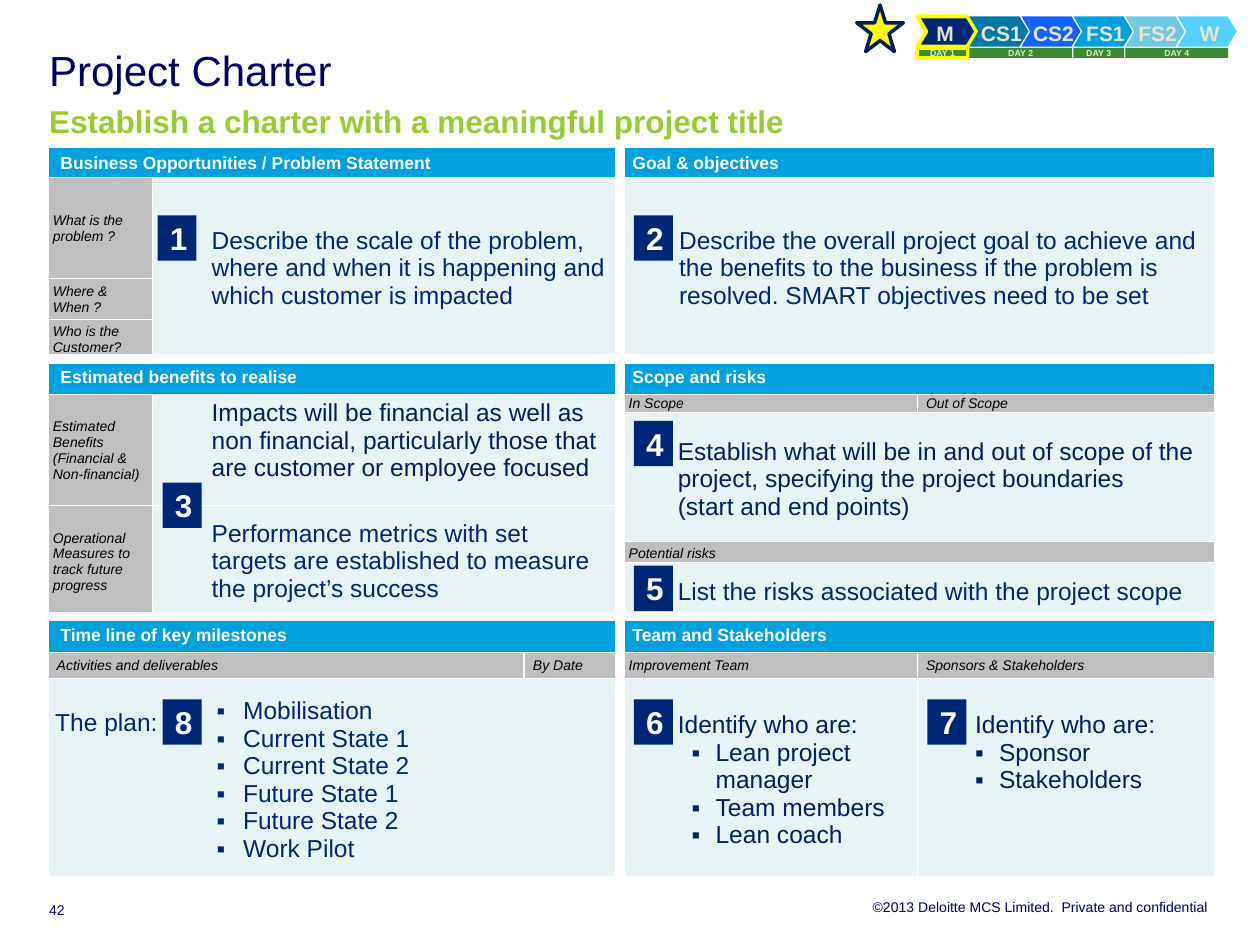
import lxml.etree
import pptx
import pptx.dml.color
import pptx.enum.shapes
import pptx.enum.text
import pptx.oxml.ns
import pptx.util

Inches = pptx.util.Inches
Pt = pptx.util.Pt
SHAPE = pptx.enum.shapes.MSO_SHAPE
ALIGN = pptx.enum.text.PP_ALIGN
MID = pptx.enum.text.MSO_ANCHOR.MIDDLE
TOP = pptx.enum.text.MSO_ANCHOR.TOP
LOW = pptx.enum.text.MSO_ANCHOR.BOTTOM
qn = pptx.oxml.ns.qn

NAVY, INK, TITLE, CREAM, YELLOW = "002776", "002060", "000066", "E5E5CC", "FFFF00"

STAGES = [("M", "002776"), ("CS1", "0079A6"), ("CS2", "1462FF"),
          ("FS1", "00A1DE"), ("FS2", "72C7E7"), ("W", "52D0FF")]
DAYS = [("DAY 1", 0, 1), ("DAY 2", 1, 2), ("DAY 3", 3, 1), ("DAY 4", 4, 2)]
BADGES = [("1", 1.25, 1.71), ("2", 5.03, 1.71), ("3", 1.29, 3.83), ("4", 5.03, 3.34),
          ("5", 5.03, 4.49), ("6", 5.03, 5.55), ("7", 7.36, 5.55), ("8", 1.29, 5.55)]

COLS = [0.83, 2.95, 0.76, 2.36, 2.36]
ROWS = [0.24, 0.8, 0.32, 0.32, 0.28, 0.14, 0.74, 0.28, 0.17, 0.43, 0.28, 0.21, 1.57]
WIDE_ROWS, WIDE_COLS = (4, 10), (3,)  # grid lines that form the white gutters

# fill, (size, colour, bold, italic), margins, indent
KINDS = {
    "head": ("00A1DE", (10, "FFFFFF", True, False), (0.01, 0.01, 0.01, 0), 0.09),
    "side": ("BFBFBF", (8, "000000", False, True), (0.04, 0.01, 0.01, 0), 0),
    "sub": ("BFBFBF", (8, "000000", False, True), (0.07, 0.01, 0.01, 0), 0),
    "risk": ("BFBFBF", (8, "000000", False, True), (0.07, 0.04, 0.01, 0), 0),
    "body": ("E7F3F4", (14, NAVY, False, False), (0.08, 0.04, 0.08, 0.04), 0.39),
    "dark": ("E7F3F4", (14, INK, False, False), (0.08, 0.04, 0.08, 0.04), 0.39),
    "slim": ("E7F3F4", (14, NAVY, False, False), (0.07, 0.04, 0.01, 0), 0.39),
    "scope": ("E7F3F4", (14, INK, False, False), (0.07, 0.04, 0.01, 0), 0.39),
    "team": ("E7F3F4", (14, INK, False, False), (0.07, 0.26, 0.01, 0), 0.39),
}


def items(left, hang, *names):
    """Bulleted paragraphs as (text, left, hang)."""
    return [(name, left, hang) for name in names]


# row, column, rows, columns, kind, anchor, paragraphs
CELLS = [
    (0, 0, 1, 3, "head", MID, ["Business Opportunities / Problem Statement"]),
    (0, 3, 1, 2, "head", MID, ["Goal & objectives"]),
    (1, 0, 1, 1, "side", MID, ["What is the problem ?"]),
    (1, 1, 3, 2, "body", MID, ["Describe the scale of the problem, where and when it is "
                               "happening and which customer is impacted"]),
    (1, 3, 3, 2, "body", MID, ["Describe the overall project goal to achieve and the benefits to the "
                               "business if the problem is resolved. SMART objectives need to be set"]),
    (2, 0, 1, 1, "side", MID, ["Where &", "When ?"]),
    (3, 0, 1, 1, "side", MID, ["Who is the Customer?"]),
    (4, 0, 1, 3, "head", MID, ["Estimated benefits to realise"]),
    (4, 3, 1, 2, "head", MID, ["Scope and risks"]),
    (5, 0, 2, 1, "side", MID, ["Estimated Benefits (Financial & Non-financial)"]),
    (5, 1, 2, 2, "dark", TOP, ["Impacts will be financial as well as non financial, "
                               "particularly those that are customer or employee focused"]),
    (5, 3, 1, 1, "sub", MID, ["In Scope"]),
    (5, 4, 1, 1, "sub", MID, ["Out of Scope"]),
    (6, 3, 2, 2, "scope", MID, ["Establish what will be in and out of scope of the project, "
                                "specifying the project boundaries", "(start and end points)"]),
    (7, 0, 3, 1, "side", MID, ["Operational Measures to track future progress"]),
    (7, 1, 3, 2, "body", MID, ["Performance metrics with set targets are established to "
                               "measure the project’s success"]),
    (8, 3, 1, 2, "risk", TOP, ["Potential risks"]),
    (9, 3, 1, 2, "slim", MID, ["List the risks associated with the project scope"]),
    (10, 0, 1, 3, "head", MID, ["Time line of key milestones"]),
    (10, 3, 1, 2, "head", MID, ["Team and Stakeholders"]),
    (11, 0, 1, 2, "sub", MID, ["Activities and deliverables"]),
    (11, 2, 1, 1, "sub", MID, ["By Date"]),
    (11, 3, 1, 1, "sub", MID, ["Improvement Team"]),
    (11, 4, 1, 1, "sub", MID, ["Sponsors & Stakeholders"]),
    (12, 0, 1, 3, "slim", MID, items(1.48, 0.21, "Mobilisation", "Current State 1", "Current State 2",
                                     "Future State 1", "Future State 2", "Work Pilot")),
    (12, 3, 1, 1, "team", TOP, ["Identify who are:"]
     + items(0.69, 0.19, "Lean project manager", "Team members", "Lean coach")),
    (12, 4, 1, 1, "team", TOP, ["Identify who are:"] + items(0.58, 0.19, "Sponsor", "Stakeholders")),
]


def rgb(code):
    return pptx.dml.color.RGBColor.from_string(code)


def add_run(para, text, size, color, bold=False, italic=False):
    run = para.add_run()
    run.text = text
    font = run.font
    font.name, font.size, font.bold, font.italic = "Arial", Pt(size), bold, italic
    font.color.rgb = rgb(color)


def pad(frame, sides):
    """Set left, top, right and bottom margins of a frame or cell."""
    (frame.margin_left, frame.margin_top,
     frame.margin_right, frame.margin_bottom) = [Inches(side) for side in sides]


def add_text(box, text, look, align=ALIGN.LEFT, sides=(0.1, 0.05, 0.1, 0.05), anchor=MID, wrap=True):
    frame = box.text_frame
    pad(frame, sides)
    frame.word_wrap, frame.vertical_anchor = wrap, anchor
    para = frame.paragraphs[0]
    para.alignment = align
    if text:
        add_run(para, text, *look)
    return para


def add_box(slide, kind, place, fill, line=None, width=0):
    box = slide.shapes.add_shape(kind, *[Inches(n) for n in place])
    box.shadow.inherit = False
    box.fill.solid()
    box.fill.fore_color.rgb = rgb(fill)
    if line:
        box.line.color.rgb, box.line.width = rgb(line), Pt(width)
    else:
        box.line.fill.background()
    return box


def add_label(slide, place, *args, **named):
    box = slide.shapes.add_textbox(*[Inches(n) for n in place])
    return add_text(box, *args, **named)


def add_edge(cell, side, width):
    edge = lxml.etree.SubElement(cell._tc.get_or_add_tcPr(), qn("a:ln" + side), w=str(Pt(width)))
    fill = lxml.etree.SubElement(edge, qn("a:solidFill"))
    lxml.etree.SubElement(fill, qn("a:srgbClr"), val="FFFFFF")


def add_edges(table, row, col, high, wide):
    for r in range(row, row + high):
        for c in range(col, col + wide):
            for side, here, line, broad in (
                    ("L", c == col, c, WIDE_COLS), ("R", c == col + wide - 1, c + 1, WIDE_COLS),
                    ("T", r == row, r, WIDE_ROWS), ("B", r == row + high - 1, r + 1, WIDE_ROWS)):
                if here:
                    add_edge(table.cell(r, c), side, 6 if line in broad else 0.25)


def fill_cell(table, row, col, high, wide, kind, anchor, paras):
    fill, look, sides, indent = KINDS[kind]
    cell = table.cell(row, col)
    if high * wide > 1:
        cell.merge(table.cell(row + high - 1, col + wide - 1))
    add_edges(table, row, col, high, wide)
    cell.fill.solid()
    cell.fill.fore_color.rgb = rgb(fill)
    cell.vertical_anchor = anchor
    pad(cell, sides)
    for i, item in enumerate(paras):
        text, left, hang = (item, indent, 0) if isinstance(item, str) else item
        para = cell.text_frame.add_paragraph() if i else cell.text_frame.paragraphs[0]
        props = para._p.get_or_add_pPr()
        props.set("marL", str(Inches(left)))
        props.set("indent", str(-Inches(hang)))
        if hang:
            lxml.etree.SubElement(props, qn("a:buFont"), typeface="Arial")
            lxml.etree.SubElement(props, qn("a:buChar"), char="▪")
        add_run(para, text, *look)


def add_charter(slide):
    table = slide.shapes.add_table(len(ROWS), len(COLS), Inches(0.38), Inches(1.17),
                                   Inches(sum(COLS)), Inches(sum(ROWS))).table
    table.first_row = table.horz_banding = False
    for col, width in zip(table.columns, COLS):
        col.width = Inches(width)
    for row, height in zip(table.rows, ROWS):
        row.height = Inches(height)
    for entry in CELLS:
        fill_cell(table, *entry)


def add_tracker(slide):
    left, step = 7.28, 0.413
    for i, (name, fill) in enumerate(STAGES):
        line = YELLOW if i == 0 else None
        box = add_box(slide, SHAPE.CHEVRON, (left + i * step, 0.13, 0.47, 0.24), fill, line, 2.25)
        box.adjustments[0] = 0.3
        sides, align = ((0.2, 0.06, 0.16, 0.06), ALIGN.CENTER) if i else ((0.08, 0.06, 0, 0.06), ALIGN.LEFT)
        para = add_text(box, name, (12, CREAM, True), align, sides, wrap=False)
        para.line_spacing = 1.1
    for name, start, span in DAYS:
        line = None if start else YELLOW
        box = add_box(slide, SHAPE.RECTANGLE, (left + start * step, 0.38, span * step - 0.01, 0.08),
                      "3C8A2E", line, 2.25)
        add_text(box, name, (5, CREAM, True), ALIGN.CENTER, (0.04, 0, 0.04, 0), TOP)
    add_box(slide, SHAPE.STAR_5_POINT, (6.8, 0.04, 0.37, 0.37), YELLOW, "001D57", 2)


def main():
    deck = pptx.Presentation()
    deck.slide_width, deck.slide_height = Inches(10), Inches(7.5)
    slide = deck.slides.add_slide(deck.slide_layouts[6])
    flush = (0, 0, 0, 0)
    add_label(slide, (3.4, 7.13, 6.19, 0.13), "©2013 Deloitte MCS Limited.  Private and confidential",
              (8, TITLE), ALIGN.RIGHT, flush, TOP)
    add_tracker(slide)
    add_charter(slide)
    para = add_label(slide, (0.39, 0.39, 9.21, 0.69), "Project Charter", (24, TITLE),
                     sides=flush, anchor=TOP)
    para.line_spacing = Pt(26)
    para.add_line_break()
    add_run(para, "Establish a charter with a meaningful project title", 18, "99CC33", True)
    for number, left, top in BADGES:
        box = add_box(slide, SHAPE.RECTANGLE, (left, top, 0.31, 0.36), NAVY)
        add_text(box, number, (18, "FFFFFF", True), ALIGN.CENTER)
    add_label(slide, (0.34, 5.55, 1.3, 0.36), "The plan:", (14, NAVY))
    add_label(slide, (0.39, 7.16, 0.39, 0.13), "42", (8, TITLE), sides=flush, anchor=LOW)
    deck.save("out.pptx")


if __name__ == "__main__":
    main()
